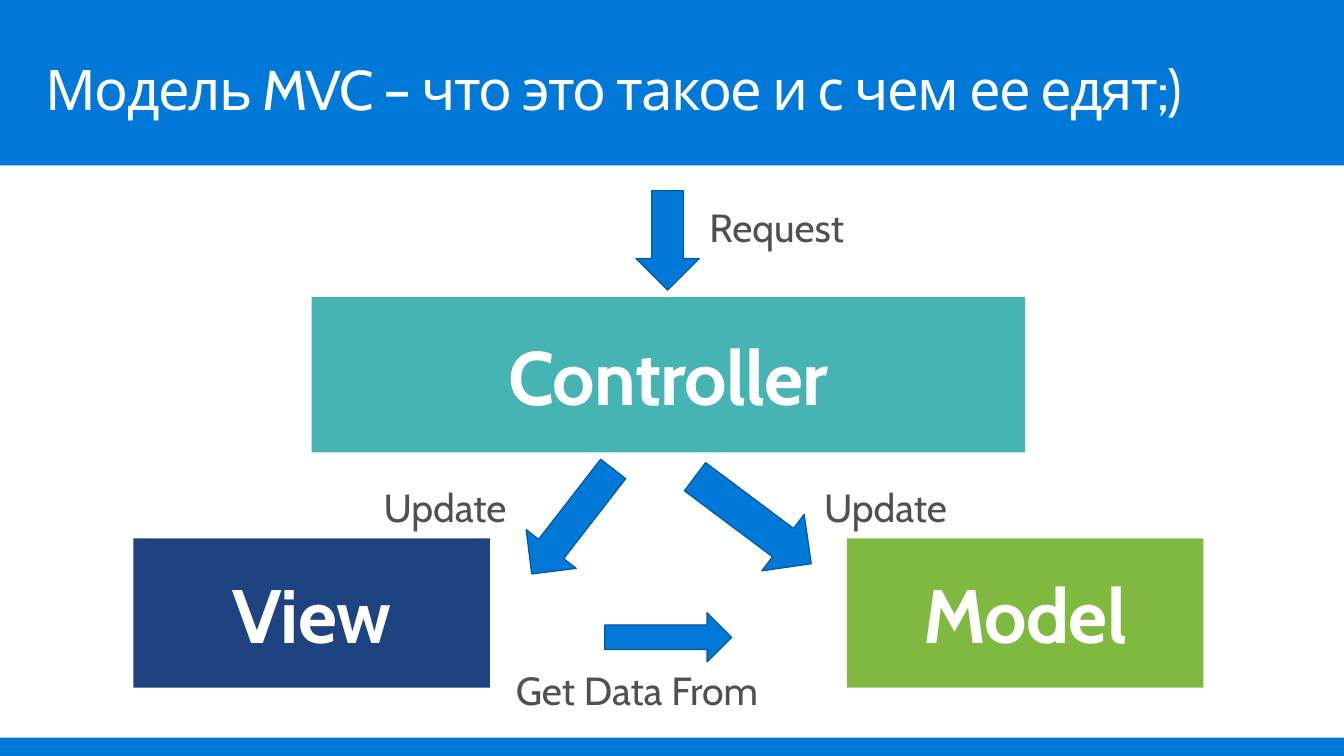
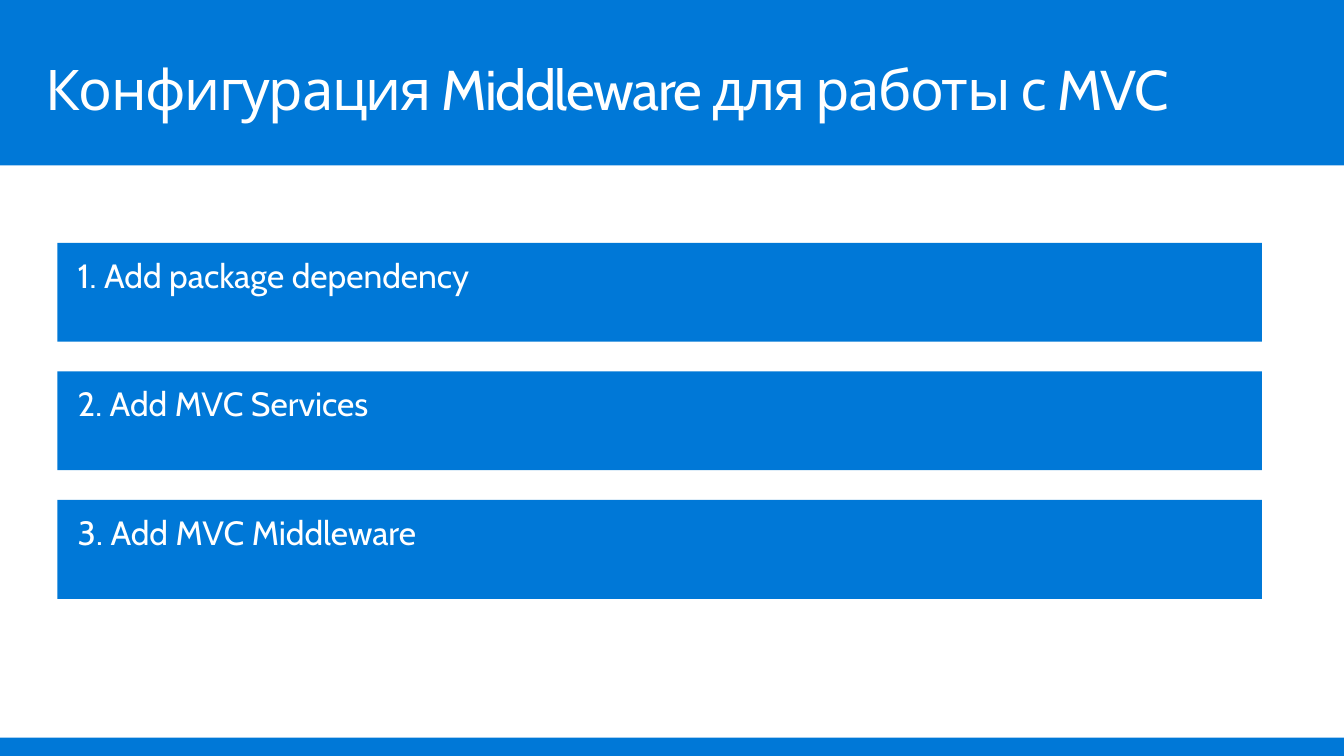
from pptx import Presentation
from pptx.dml.color import RGBColor
from pptx.enum.shapes import MSO_SHAPE
from pptx.enum.text import MSO_ANCHOR, PP_ALIGN
from pptx.oxml.ns import qn
from pptx.util import Cm, Pt

RECTANGLE, ARROW = MSO_SHAPE.RECTANGLE, MSO_SHAPE.RIGHT_ARROW
TOP, MIDDLE = MSO_ANCHOR.TOP, MSO_ANCHOR.MIDDLE
LEFT, CENTER = PP_ALIGN.LEFT, PP_ALIGN.CENTER

BLUE = RGBColor(0x00, 0x78, 0xD7)
DARK_BLUE = RGBColor(0x00, 0x59, 0x9F)
NAVY = RGBColor(0x1D, 0x43, 0x80)
GREEN = RGBColor(0x80, 0xB9, 0x40)
TEAL = RGBColor(0x46, 0xB4, 0xB2)
GRAY = RGBColor(0x50, 0x50, 0x50)
WHITE = RGBColor(0xFF, 0xFF, 0xFF)
FONT = "Cabin"

# Lengths below are in centimetres.
PAGE_WIDTH, PAGE_HEIGHT = 33.87, 19.05
PANEL_TOP, PANEL_HEIGHT = 4.17, 14.42

MVC_TITLE = "Модель MVC – что это такое и с чем ее едят;)"
BLOCK_LEFT, BLOCK_WIDTH = 3.36, 8.99
CONTROLLER_TOP, CONTROLLER_HEIGHT = 7.49, 3.91
LOWER_TOP, LOWER_HEIGHT = 13.57, 3.76
# left, top, width, height, rotation
ARROWS = [
    (15.57, 5.26, 2.51, 1.6, 90),
    (12.75, 12.34, 3.35, 1.6, 127.8),
    (17.15, 12.22, 3.66, 1.78, 36.8),
    (15.24, 15.44, 3.2, 1.24, 0),
]
# text, left, top, width
ARROW_LABELS = [
    ("Request", 17.63, 5, 4.04),
    ("Update", 20.52, 12.04, 3.73),
    ("Update", 9.42, 12.04, 3.73),
    ("Get Data From", 12.75, 16.66, 6.91),
]
LABEL_HEIGHT = 1.45

STEPS_TITLE = "Конфигурация Middleware для работы с MVC"
STEPS = ["1. Add package dependency", "2. Add MVC Services", "3. Add MVC Middleware"]
STEP_LEFT, STEP_TOP, STEP_WIDTH, STEP_HEIGHT = 1.45, 6.12, 30.35, 2.49
STEP_PITCH = 3.24


def write(box, text, size, color=WHITE, bold=False, tracking=0, insets=(0.25, 0.13),
          anchor=TOP, align=LEFT, line_spacing=1.0, wrap=True):
    """Fill box with one paragraph; tracking is in points, insets are (sides, top and bottom)."""
    frame = box.text_frame
    frame.word_wrap = wrap
    frame.vertical_anchor = anchor
    frame.margin_left = frame.margin_right = Cm(insets[0])
    frame.margin_top = frame.margin_bottom = Cm(insets[1])
    para = frame.paragraphs[0]
    para.text = text
    para.alignment = align
    para.line_spacing = line_spacing
    font = para.font
    font.name, font.size, font.bold = FONT, Pt(size), bold
    font.color.rgb = color
    if tracking:
        para._p.pPr.find(qn("a:defRPr")).set("spc", str(int(tracking * 100)))


def add_shape(page, kind, left, top, width, height, fill, outline=None):
    shape = page.shapes.add_shape(kind, Cm(left), Cm(top), Cm(width), Cm(height))
    shape.shadow.inherit = False
    shape.fill.solid()
    shape.fill.fore_color.rgb = fill
    if outline is None:
        shape.line.fill.background()
    else:
        shape.line.color.rgb = outline
        shape.line.width = Pt(0.85)
    return shape


def add_text_box(page, left, top, width, height):
    return page.shapes.add_textbox(Cm(left), Cm(top), Cm(width), Cm(height))


def add_page(deck, title):
    """Add a blue page with a white panel between the title band and the footer."""
    page = deck.slides.add_slide(deck.slide_layouts[6])
    page.background.fill.solid()
    page.background.fill.fore_color.rgb = BLUE
    add_shape(page, RECTANGLE, 0, PANEL_TOP, PAGE_WIDTH, PANEL_HEIGHT, WHITE)
    title_box = add_text_box(page, 0.74, 0.28, 32.39, 2.49)
    write(title_box, title, 40, tracking=-1, insets=(0.41, 0.25), line_spacing=1.5)
    return page


def build_mvc_page(deck):
    page = add_page(deck, MVC_TITLE)
    # The controller spans from the middle of the view to the middle of the model.
    controller_left = BLOCK_LEFT + BLOCK_WIDTH / 2
    model_left = BLOCK_LEFT + 2 * BLOCK_WIDTH
    blocks = [
        ("View", BLOCK_LEFT, LOWER_TOP, BLOCK_WIDTH, LOWER_HEIGHT, NAVY),
        ("Model", model_left, LOWER_TOP, BLOCK_WIDTH, LOWER_HEIGHT, GREEN),
        ("Controller", controller_left, CONTROLLER_TOP, 2 * BLOCK_WIDTH, CONTROLLER_HEIGHT, TEAL),
    ]
    for name, *place, color in blocks:
        block = add_shape(page, RECTANGLE, *place, color)
        write(block, name, 54, bold=True, tracking=-0.5, insets=(0.13, 0.13),
              anchor=MIDDLE, align=CENTER)
    for *place, rotation in ARROWS:
        add_shape(page, ARROW, *place, BLUE, DARK_BLUE).rotation = rotation
    for text, left, top, width in ARROW_LABELS:
        label = add_text_box(page, left, top, width, LABEL_HEIGHT)
        write(label, text, 28, GRAY, wrap=False)


def build_steps_page(deck):
    page = add_page(deck, STEPS_TITLE)
    for index, step in enumerate(STEPS):
        top = STEP_TOP + index * STEP_PITCH
        bar = add_shape(page, RECTANGLE, STEP_LEFT, top, STEP_WIDTH, STEP_HEIGHT, BLUE)
        write(bar, step, 24, insets=(0.51, 0.41), line_spacing=0.9)


def main():
    deck = Presentation()
    deck.slide_width, deck.slide_height = Cm(PAGE_WIDTH), Cm(PAGE_HEIGHT)
    build_mvc_page(deck)
    build_steps_page(deck)
    deck.save("out.pptx")


if __name__ == "__main__":
    main()
